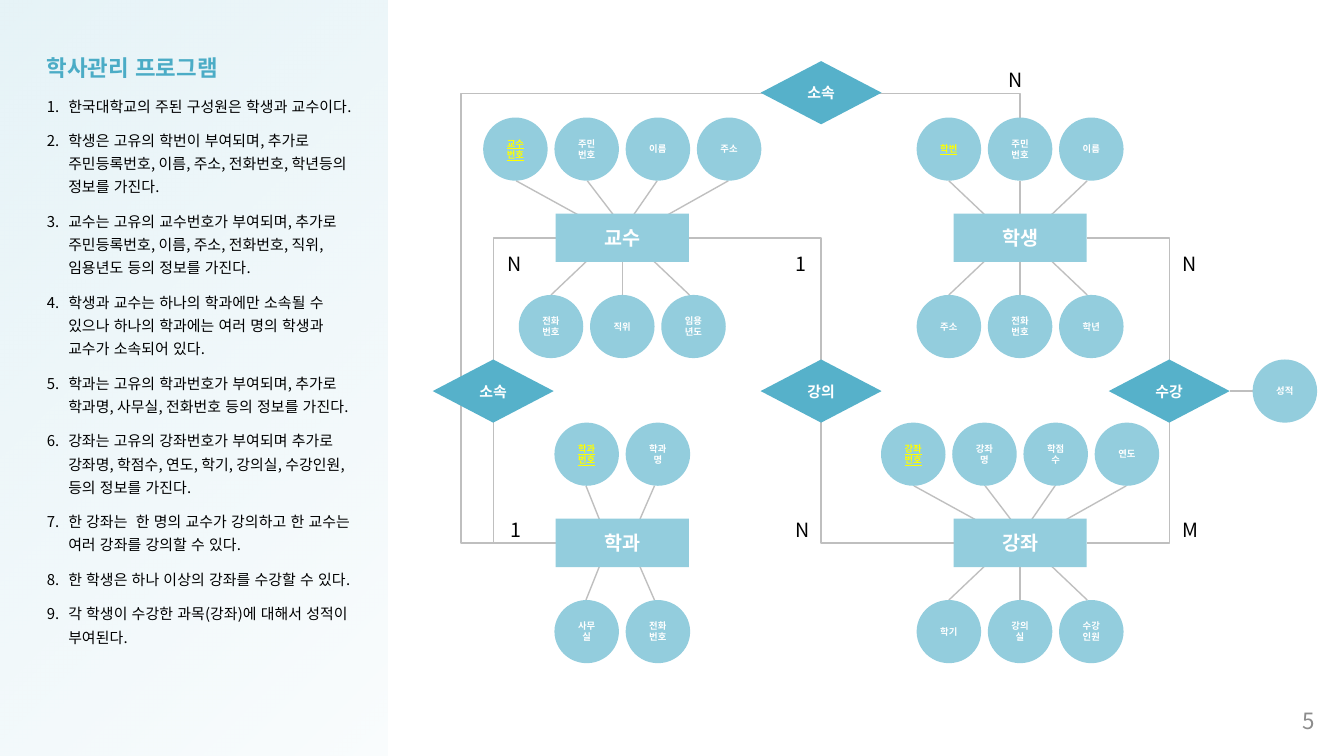
from dataclasses import dataclass
from typing import NamedTuple

from lxml.etree import SubElement
from pptx import Presentation
from pptx.dml.color import RGBColor
from pptx.enum.lang import MSO_LANGUAGE_ID as LANG
from pptx.enum.shapes import MSO_CONNECTOR as CXN, MSO_SHAPE as SHAPE
from pptx.enum.text import MSO_ANCHOR as ANCHOR, PP_ALIGN as ALIGN
from pptx.oxml.ns import qn
from pptx.util import Inches, Pt


@dataclass(frozen=True)
class Theme:
    font: str = "Noto Sans CJK KR"
    panel: str = "DBEEF4"
    title: str = "4BACC6"
    light: str = "93CDDD"
    dark: str = "56B1CA"
    line: str = "BFBFBF"
    key: str = "FFFF00"
    white: str = "FFFFFF"
    black: str = "000000"
    number: str = "8C8C8C"
    title_pt: float = 12
    body_pt: float = 8
    entity_pt: float = 10.5
    attr_pt: float = 5
    line_pt: float = 0.75


class Entity(NamedTuple):
    name: str
    x: float
    y: float
    above: tuple[str, ...]  # the first one is the key
    below: tuple[str, ...]


class Relation(NamedTuple):
    name: str
    x: float
    y: float


class Label(NamedTuple):
    text: str
    x: float
    y: float
    align: ALIGN


T = Theme()
ENTITY_W, ENTITY_H = 0.99, 0.36
DIAMOND_W, DIAMOND_H = 0.9, 0.47
ATTR_W, ATTR_H = 0.48, 0.47
ATTR_PITCH, ROW_GAP = 0.53, 0.66
LEFT, RIGHT, TOP, BOTTOM = 4.63, 7.59, 1.77, 4.04
MIDDLE = 2.91

# Spoke offsets from the entity centre, by row length: (at attribute, at entity)
SPOKES = {
    2: ((-0.27, -0.16), (0.24, 0.12)),
    3: ((-0.53, -0.24), (0, 0), (0.5, 0.21)),
    4: ((-0.79, -0.29), (-0.26, -0.05), (0.26, 0.07), (0.79, 0.3)),
}

ENTITIES = [
    Entity("교수", LEFT, TOP, ("교수번호", "주민번호", "이름", "주소"), ("전화번호", "직위", "임용년도")),
    Entity("학생", RIGHT, TOP, ("학번", "주민번호", "이름"), ("주소", "전화번호", "학년")),
    Entity("학과", LEFT, BOTTOM, ("학과번호", "학과명"), ("사무실", "전화번호")),
    Entity("강좌", RIGHT, BOTTOM, ("강좌번호", "강좌명", "학점수", "연도"), ("학기", "강의실", "수강인원")),
]
RELATIONS = [
    Relation("소속", 6.11, 0.69),
    Relation("소속", 3.67, MIDDLE),
    Relation("강의", 6.11, MIDDLE),
    Relation("수강", 8.7, MIDDLE),
]
LABELS = [
    Label("N", 5.82, 3.78, ALIGN.LEFT),
    Label("1", 5.82, 1.8, ALIGN.LEFT),
    Label("N", 8.7, 1.8, ALIGN.LEFT),
    Label("M", 8.7, 3.78, ALIGN.LEFT),
    Label("1", 3.53, 3.78, ALIGN.RIGHT),
    Label("N", 3.53, 1.8, ALIGN.RIGHT),
    Label("N", 7.26, 0.43, ALIGN.RIGHT),
]
RULES = [
    "한국대학교의 주된 구성원은 학생과 교수이다.",
    "학생은 고유의 학번이 부여되며, 추가로 주민등록번호, 이름, 주소, 전화번호, 학년등의 정보를 가진다.",
    "교수는 고유의 교수번호가 부여되며, 추가로  주민등록번호, 이름, 주소, 전화번호, 직위, 임용년도 등의 정보를 가진다.",
    "학생과 교수는 하나의 학과에만 소속될 수 있으나 하나의 학과에는 여러 명의 학생과 교수가 소속되어 있다.",
    "학과는 고유의 학과번호가 부여되며, 추가로 학과명, 사무실, 전화번호 등의 정보를 가진다.",
    "강좌는 고유의 강좌번호가 부여되며 추가로 강좌명, 학점수, 연도, 학기, 강의실, 수강인원, 등의 정보를 가진다.",
    "한 강좌는  한 명의 교수가 강의하고 한 교수는 여러 강좌를 강의할 수 있다.",
    "한 학생은 하나 이상의 강좌를 수강할 수 있다.",
    "각 학생이 수강한 과목(강좌)에 대해서 성적이 부여된다.",
]


def write(p, text: str, size: float, color: str, **extra) -> None:
    r = p.add_run()
    r.text = text
    fmt = {"name": T.font, "size": Pt(size), "language_id": LANG.KOREAN, **extra}
    for attr, value in fmt.items():
        setattr(r.font, attr, value)
    r.font.color.rgb = RGBColor.from_string(color)
    ea = SubElement(r.font._element, qn("a:ea"))
    ea.set("typeface", T.font)
    r.font._element.find(qn("a:latin")).addnext(ea)


def indent(p, size: float) -> None:
    pPr = p._p.get_or_add_pPr()
    pPr.set("marL", str(Inches(size)))
    pPr.set("indent", str(-Inches(size)))


def add_text(shapes, x: float, y: float, w: float, h: float, anchor=ANCHOR.MIDDLE):
    tf = shapes.add_textbox(Inches(x), Inches(y), Inches(w), Inches(h)).text_frame
    tf.word_wrap = True
    tf.vertical_anchor = anchor
    return tf


def add_node(shapes, kind, x: float, y: float, w: float, h: float,
             fill: str, text: str, size: float, key: bool = False) -> None:
    """Draw a filled shape centred on x, y."""
    sp = shapes.add_shape(kind, Inches(x - w / 2), Inches(y - h / 2), Inches(w), Inches(h))
    sp.shadow.inherit = False
    sp.fill.solid()
    sp.fill.fore_color.rgb = RGBColor.from_string(fill)
    sp.line.fill.background()
    tf = sp.text_frame
    tf.word_wrap = True
    tf.vertical_anchor = ANCHOR.MIDDLE
    p = tf.paragraphs[0]
    p.alignment = ALIGN.CENTER
    write(p, text, size, T.key if key else T.white, bold=True, underline=key or None)


def add_attr(shapes, x: float, y: float, text: str, key: bool = False) -> None:
    add_node(shapes, SHAPE.OVAL, x, y, ATTR_W, ATTR_H, T.light, text, T.attr_pt, key)


def style_line(sp) -> None:
    sp.line.color.rgb = RGBColor.from_string(T.line)
    sp.line.width = Pt(T.line_pt)


def add_link(shapes, x1: float, y1: float, x2: float, y2: float, kind=CXN.STRAIGHT):
    c = shapes.add_connector(kind, Inches(x1), Inches(y1), Inches(x2), Inches(y2))
    style_line(c)
    SubElement(c._element.spPr, qn("a:effectLst"))
    return c


def add_bracket(shapes, x: float, outer: float) -> None:
    points = [(Inches(a), Inches(b)) for a, b in
              ((x, TOP), (outer, TOP), (outer, BOTTOM), (x, BOTTOM))]
    fb = shapes.build_freeform(*points[0], scale=1.0)
    fb.add_line_segments(points[1:], close=False)
    sp = fb.convert_to_shape()
    sp.shadow.inherit = False
    sp.fill.background()
    style_line(sp)


def add_entity(shapes, e: Entity) -> None:
    for side, row in ((-1, e.above), (1, e.below)):
        row_y = e.y + side * ROW_GAP
        for i, (name, (start, end)) in enumerate(zip(row, SPOKES[len(row)])):
            add_link(shapes, e.x + start, row_y - side * ATTR_H / 2,
                     e.x + end, e.y + side * (ENTITY_H / 2 - 0.03))
            add_attr(shapes, e.x + (i - (len(row) - 1) / 2) * ATTR_PITCH, row_y,
                     name, key=side < 0 and i == 0)
    add_node(shapes, SHAPE.RECTANGLE, e.x, e.y, ENTITY_W, ENTITY_H, T.light, e.name, T.entity_pt)


# Widescreen slide, 16:9
prs = Presentation()
prs.slide_width = Inches(10)
prs.slide_height = prs.slide_width * 9 // 16
slide = prs.slides.add_slide(prs.slide_layouts[6])

# Side panel with a fading tint
panel = slide.shapes.add_shape(SHAPE.RECTANGLE, 0, 0, Inches(2.88), prs.slide_height)
panel.shadow.inherit = False
panel.line.fill.background()
panel.fill.gradient()
panel.fill.gradient_angle = 135
for stop in panel.fill.gradient_stops:
    stop.color.rgb = RGBColor.from_string(T.panel)
for clr, alpha in zip(panel._element.spPr.iter(qn("a:srgbClr")), (15, 69)):
    SubElement(clr, qn("a:alpha")).set("val", str(alpha * 1000))

# Page number
p = add_text(slide.shapes, 9.32, 5.21, 0.56, 0.3).paragraphs[0]
p.alignment = ALIGN.RIGHT
write(p, "5", T.title_pt, T.number)

# Title and numbered rules
tf = add_text(slide.shapes, 0.25, 0.29, 2.46, 5.15, ANCHOR.TOP)
write(tf.paragraphs[0], "학사관리 프로그램", T.title_pt, T.title, bold=True)
for rule in RULES:
    p = tf.add_paragraph()
    indent(p, 0.16)
    write(p, rule, T.body_pt, T.black)
for p in tf.paragraphs:
    p.line_spacing, p.space_after = 1.3, Pt(6)
for p in tf.paragraphs[1:]:
    SubElement(p._p.pPr, qn("a:buAutoNum")).set("type", "arabicPeriod")

# Lines between entities
diagram = slide.shapes.add_group_shape().shapes
half = ENTITY_W / 2
member = add_link(diagram, LEFT - half, BOTTOM, RIGHT, 1, CXN.ELBOW)
xfrm = member._element.spPr.find(qn("a:xfrm"))
del xfrm.attrib["flipV"]
xfrm.set("rot", "10800000")
xfrm.set("flipH", "1")
geom = member._element.spPr.find(qn("a:prstGeom"))
geom.set("prst", "bentConnector4")
for name, value in (("adj1", -20400), ("adj2", 110000)):
    gd = SubElement(geom.find(qn("a:avLst")), qn("a:gd"))
    gd.set("name", name)
    gd.set("fmla", f"val {value}")
add_bracket(diagram, LEFT - half, 3.67)
add_bracket(diagram, RIGHT + half, 8.7)
add_link(diagram, LEFT + half, TOP, RIGHT - half, BOTTOM, CXN.ELBOW)
add_link(diagram, 9.15, MIDDLE, 9.32, MIDDLE)

# Entities, relations and the grade attribute
for entity in ENTITIES:
    add_entity(diagram, entity)
for rel in RELATIONS:
    add_node(diagram, SHAPE.DIAMOND, rel.x, rel.y, DIAMOND_W, DIAMOND_H, T.dark, rel.name, T.body_pt)
add_attr(diagram, 9.56, MIDDLE, "성적")

# Cardinality labels
for label in LABELS:
    p = add_text(diagram, label.x, label.y, 0.45, 0.15).paragraphs[0]
    p.alignment, p.line_spacing = label.align, 2.0
    indent(p, 0.1)
    write(p, label.text, T.entity_pt, T.black)

prs.save("out.pptx")
